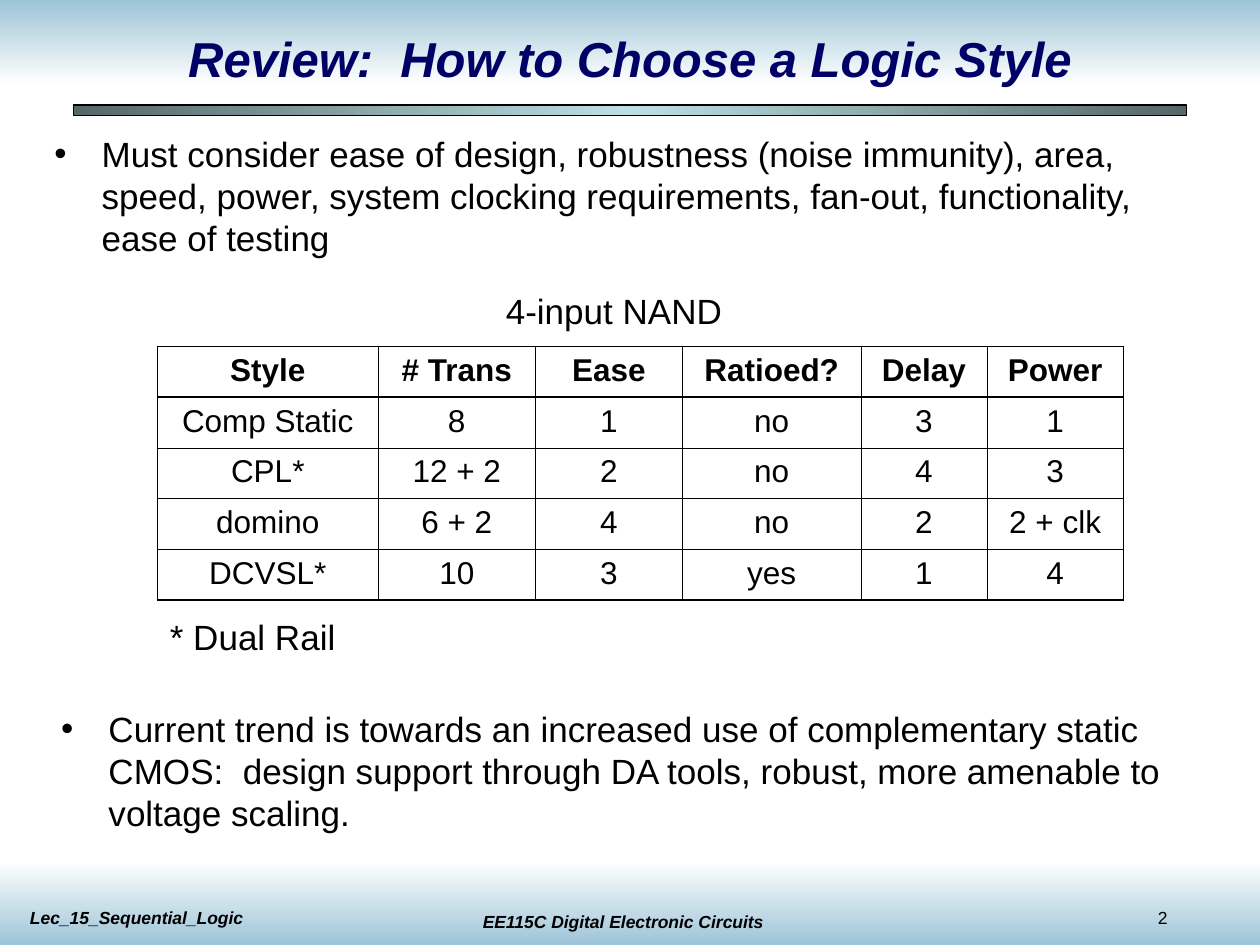
from copy import deepcopy
from dataclasses import dataclass

from lxml import etree
from pptx import Presentation
from pptx.dml.color import RGBColor
from pptx.enum.shapes import MSO_SHAPE
from pptx.enum.text import MSO_ANCHOR, MSO_AUTO_SIZE, PP_ALIGN
from pptx.oxml.ns import qn
from pptx.util import Pt

RECTANGLE = MSO_SHAPE.RECTANGLE
LEFT, CENTER = PP_ALIGN.LEFT, PP_ALIGN.CENTER
MIDDLE, TOP = MSO_ANCHOR.MIDDLE, MSO_ANCHOR.TOP
NO_AUTOFIT = MSO_AUTO_SIZE.NONE
TITLE_ONLY = 5


@dataclass(frozen=True)
class Theme:
    font: str = "Arial"
    ink: str = "000000"
    title_ink: str = "000066"
    band: str = "9DC4D7"
    paper: str = "FFFFFF"
    rule_edge: str = "566768"
    rule_middle: str = "BBE0E3"
    title_size: float = 28
    body_size: float = 20
    table_size: float = 18
    footer_size: float = 10
    thick: float = 1.08
    thin: float = 0.45


THEME = Theme()

HEADER = ["Style", "# Trans", "Ease", "Ratioed?", "Delay", "Power"]
ROWS = [
    ["Comp Static", "8", "1", "no", "3", "1"],
    ["CPL*", "12 + 2", "2", "no", "4", "3"],
    ["domino", "6 + 2", "4", "no", "2", "2 + clk"],
    ["DCVSL*", "10", "3", "yes", "1", "4"],
]
COLUMN_WIDTHS = [126, 90, 84, 102, 72, 78]


def points(box):
    return [Pt(length) for length in box]


def write(frame, text, size, color=THEME.ink, bold=False, italic=False, align=LEFT):
    frame.text = text
    para = frame.paragraphs[0]
    para.alignment = align
    for span in para.runs:
        font = span.font
        font.name, font.size = THEME.font, Pt(size)
        font.bold, font.italic = bold, italic
        font.color.rgb = RGBColor.from_string(color)
    return para


def add_text(page, box, text, size, inset=(7.2, 3.6), **style):
    frame = page.shapes.add_textbox(*points(box)).text_frame
    frame.word_wrap = True
    frame.margin_left = frame.margin_right = Pt(inset[0])
    frame.margin_top = frame.margin_bottom = Pt(inset[1])
    return write(frame, text, size, **style)


def add_bullet(page, box, text, **options):
    para = add_text(page, box, text, THEME.body_size, **options)
    properties = para._p.get_or_add_pPr()
    properties.set("marL", str(Pt(27)))
    properties.set("indent", str(Pt(-27)))
    color = etree.SubElement(properties, qn("a:buClr"))
    etree.SubElement(color, qn("a:srgbClr"), val=THEME.ink)
    etree.SubElement(properties, qn("a:buFont"), typeface=THEME.font)
    etree.SubElement(properties, qn("a:buChar"), char="•")


def add_gradient_bar(page, box, colors, angle, outlined=False):
    """Draw a rectangle whose gradient stops are evenly spaced."""
    bar = page.shapes.add_shape(RECTANGLE, *points(box))
    bar.shadow.inherit = False
    bar.fill.gradient()
    bar.fill.gradient_angle = angle
    stop_list = bar._element.spPr.find(qn("a:gradFill")).find(qn("a:gsLst"))
    while len(stop_list) < len(colors):
        stop_list.append(deepcopy(stop_list[0]))
    for index, (stop, color) in enumerate(zip(bar.fill.gradient_stops, colors)):
        stop.position = index / (len(colors) - 1)
        stop.color.rgb = RGBColor.from_string(color)
    if outlined:
        bar.line.color.rgb = RGBColor.from_string(THEME.ink)
        bar.line.width = Pt(0.75)
    else:
        bar.line.fill.background()


def add_backdrop(page, width, height):
    band = 48
    add_gradient_bar(page, (0, 0, width, band), [THEME.band, THEME.paper], 270)
    add_gradient_bar(page, (0, height - band, width, band), [THEME.paper, THEME.band], 270)


def add_footer(page, left, top, width):
    label = dict(size=THEME.footer_size, bold=True, italic=True)
    add_text(page, (left, top, 204, 19.5), "Lec_15_Sequential_Logic", **label)
    add_text(page, (left + 244, top + 2, 204, 19.5),
             "EE115C Digital Electronic Circuits", align=CENTER, **label)
    add_text(page, (left + width - 60, top, 60, 19.5), "2", THEME.footer_size)


def place_title(page, box, text):
    title = page.shapes.title
    title.left, title.top, title.width, title.height = points(box)
    frame = title.text_frame
    frame.auto_size = NO_AUTOFIT
    frame.vertical_anchor = MIDDLE
    write(frame, text, THEME.title_size, color=THEME.title_ink,
          bold=True, italic=True, align=CENTER)


def add_border(cell, side, width):
    line = etree.SubElement(cell._tc.get_or_add_tcPr(), qn(f"a:ln{side}"), w=str(Pt(width)))
    fill = etree.SubElement(line, qn("a:solidFill"))
    etree.SubElement(fill, qn("a:srgbClr"), val=THEME.ink)


def add_comparison_table(page, box):
    """Fill a grid with a heavy frame and a heavy line under its header."""
    lines = [HEADER, *ROWS]
    last_row, last_column = len(lines) - 1, len(HEADER) - 1
    table = page.shapes.add_table(len(lines), len(HEADER), *points(box)).table
    table.first_row = table.horz_banding = False
    for column, width in zip(table.columns, COLUMN_WIDTHS):
        column.width = Pt(width)
    for r, line in enumerate(lines):
        table.rows[r].height = Pt(box[3] / len(lines))
        for c, text in enumerate(line):
            cell = table.cell(r, c)
            cell.vertical_anchor = TOP
            write(cell.text_frame, text, THEME.table_size, bold=r == 0, align=CENTER)
            heavy = {"L": c == 0, "R": c == last_column,
                     "T": r <= 1, "B": r in (0, last_row)}
            for side, is_heavy in heavy.items():
                add_border(cell, side, THEME.thick if is_heavy else THEME.thin)
            cell.fill.background()


def add_table_region(page, left, top):
    add_text(page, (left + 192, top, 144, 31.5), "4-input NAND", THEME.body_size)
    add_comparison_table(page, (left, top + 36, sum(COLUMN_WIDTHS), 145))
    add_text(page, (left, top + 186, 115, 31.5), "* Dual Rail", THEME.body_size)


def main():
    width, height = 720, 540
    deck = Presentation()
    deck.slide_width, deck.slide_height = Pt(width), Pt(height)
    page = deck.slides.add_slide(deck.slide_layouts[TITLE_ONLY])
    add_backdrop(page, width, height)
    # The title goes above the backdrop.
    title = page.shapes.title._element
    title.getparent().append(title)
    place_title(page, (54, 12, 612, 42), "Review:  How to Choose a Logic Style")
    add_gradient_bar(page, (42, 60, 636, 6),
                     [THEME.rule_edge, THEME.rule_middle, THEME.rule_edge], 180, outlined=True)
    add_bullet(page, (24, 72, 672, 81),
               "Must consider ease of design, robustness (noise immunity), area, speed, power, "
               "system clocking requirements, fan-out, functionality, ease of testing")
    add_table_region(page, 90, 162)
    add_bullet(page, (30, 402, 672, 76),
               "Current trend is towards an increased use of complementary static CMOS:  design "
               "support through DA tools, robust, more amenable to voltage scaling.",
               inset=(5, 2.4))
    add_footer(page, 10, 515, 704.5)
    deck.save("out.pptx")


if __name__ == "__main__":
    main()
